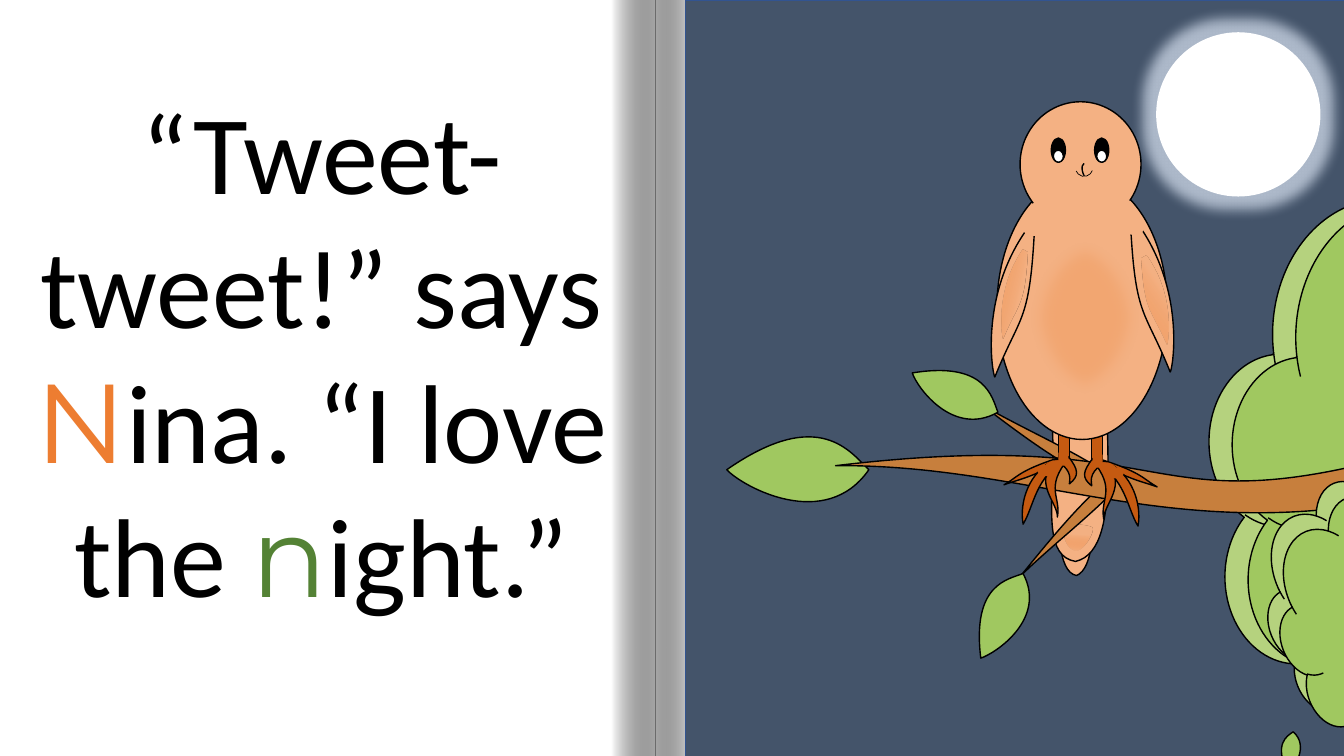
from math import cos, radians, sin

from lxml import etree
from pptx import Presentation
from pptx.dml.color import RGBColor
from pptx.enum.shapes import MSO_SHAPE
from pptx.enum.text import MSO_AUTO_SIZE, PP_ALIGN
from pptx.oxml.ns import qn
from pptx.util import Inches, Pt

BLACK = RGBColor(0, 0, 0)
WHITE = RGBColor(255, 255, 255)
NIGHT = RGBColor(0x44, 0x54, 0x6A)
SKY_EDGE = RGBColor(0x32, 0x54, 0x91)
GLOW = RGBColor(0xAD, 0xB9, 0xCA)
LEAF = RGBColor(0xA0, 0xC8, 0x60)
PALE_LEAF = RGBColor(0xB5, 0xD2, 0x7E)
WOOD = RGBColor(0xC7, 0x7F, 0x3D)
FEATHER = RGBColor(0xF4, 0xB1, 0x83)
ORANGE = RGBColor(0xED, 0x7D, 0x31)
CLAW = RGBColor(0xC5, 0x5A, 0x11)
GREEN = RGBColor(0x54, 0x82, 0x35)
RECTANGLE, CLOUD, ARC = MSO_SHAPE.RECTANGLE, MSO_SHAPE.CLOUD, MSO_SHAPE.ARC
OVAL, DISC = MSO_SHAPE.OVAL, MSO_SHAPE.FLOWCHART_CONNECTOR

SHADE = [(0, WHITE, 100), (1, BLACK, 34)]
PLUMAGE = [(0.38, FEATHER, 100), (1, ORANGE, 0)]

LOWEST_LEAF = ((12.6, 7.37, 0.41, 0.19), 283.6, [
    (12.78, 7.67), (12.63, 7.38, 12.77, 7.3, 12.83, 7.26), (12.99, 7.4, 12.84, 7.62, 12.78, 7.67)])
TAIL_BACK = ((10.13, 3.03, 0.69, 2.69), 357, [
    (10.05, 3.05), (10.76, 3.18), (10.73, 4.03, 11.02, 5.57, 10.68, 5.71), (10.29, 5.63, 10.74, 3.91, 10.05, 3.05)])
TAIL_FRONT = ((9.92, 3.04, 1.07, 2.53), 0, [
    (9.92, 3.04), (11, 3.2), (10.89, 3.99, 11.2, 5.45, 10.67, 5.57), (10.08, 5.47, 10.91, 3.88, 9.92, 3.04)])
TAIL_TIP = ((10.54, 5.21, 0.28, 0.25), 4.1, [
    (10.55, 5.22), (10.58, 5.19, 10.81, 5.21, 10.83, 5.24),
    (10.85, 5.28, 10.75, 5.46, 10.67, 5.46), (10.6, 5.45, 10.54, 5.35, 10.55, 5.22)])
BRANCH_PARTS = [
    (WOOD, ((9.62, 4.32, 1.39, 0.13), 28.6, [
        (9.73, 4.01), (10.08, 4.22, 10.69, 4.49, 10.95, 4.68),
        (10.94, 4.69, 10.87, 4.73, 10.87, 4.74), (10.55, 4.65, 9.92, 4.15, 9.73, 4.01)])),
    (WOOD, ((9.91, 5.14, 1.39, 0.13), 317.1, [
        (10.12, 5.72), (10.41, 5.43, 10.94, 5.02, 11.14, 4.77),
        (11.13, 4.76, 11.06, 4.75, 11.05, 4.73), (10.76, 4.91, 10.27, 5.54, 10.12, 5.72)])),
    (LEAF, ((7.22, 4.32, 1.4, 0.65), 7.4, [
        (7.21, 4.66), (8.13, 4.02, 8.44, 4.49, 8.62, 4.66), (8.19, 5.28, 7.37, 4.83, 7.21, 4.66)])),
    (WOOD, ((8.34, 4.09, 6.93, 1.18), 351.3, [
        (8.29, 4.62), (12.23, 4.15, 11.08, 5.54, 15.22, 4.09),
        (15.21, 4.25, 15.16, 4.4, 15.2, 4.56), (12.1, 5.72, 10.59, 4.6, 8.29, 4.62)])),
    (LEAF, ((9.47, 5.89, 0.92, 0.43), 304.3, [
        (9.73, 6.53), (9.64, 5.79, 10, 5.75, 10.15, 5.69), (10.39, 6.14, 9.88, 6.48, 9.73, 6.53)])),
    (LEAF, ((9.02, 3.67, 0.92, 0.43), 32.6, [
        (9.05, 3.7), (9.78, 3.58, 9.84, 3.94, 9.9, 4.09), (9.46, 4.34, 9.1, 3.85, 9.05, 3.7)])),
]
TOES = [
    ((10.81, 4.54, 0.29, 0.57), 332.3, [
        (10.96, 4.58), (10.84, 4.57), (11.08, 4.86, 10.91, 4.95, 10.95, 5.15), (10.94, 5.01, 11.21, 4.8, 10.96, 4.58)]),
    ((11.07, 4.39, 0.23, 0.6), 273.9, [
        (10.93, 4.56), (10.89, 4.6), (11.31, 4.79, 11.28, 4.76, 11.48, 4.83), (11.35, 4.76, 11.34, 4.69, 10.93, 4.56)]),
    ((10.75, 4.58, 0.17, 0.21), 40.7, [
        (10.84, 4.55), (10.89, 4.64), (10.79, 4.73, 10.84, 4.82, 10.83, 4.82), (10.73, 4.74, 10.74, 4.68, 10.84, 4.55)]),
    ((10.85, 4.54, 0.45, 0.67), 294.3, [
        (10.97, 4.58), (10.85, 4.57), (11.17, 4.74, 11.18, 5.04, 11.29, 5.22), (11.33, 5, 11.23, 4.69, 10.97, 4.58)]),
]
KNUCKLES = [(RECTANGLE, (10.84, 4.51, 0.1, 0.13), 0), (OVAL, (10.95, 4.57, 0.07, 0.15), 306.1),
            (OVAL, (11.01, 4.6, 0.11, 0.18), 259.8), (OVAL, (10.95, 4.56, 0.11, 0.18), 299.4)]
WING = ((11.31, 2.24, 0.33, 1.44), 337.3, [
    (11.22, 2.29), (11.31, 2.25), (11.77, 2.92, 11.63, 3.68, 11.61, 3.69), (11.36, 3.07, 11.27, 3.16, 11.22, 2.29)])
WING_PLUMAGE = ((11.38, 2.54, 0.2, 0.88), 337.3, [
    (11.33, 2.57), (11.38, 2.54), (11.66, 2.95, 11.58, 3.42, 11.57, 3.42), (11.41, 3.04, 11.36, 3.1, 11.33, 2.57)])


def set_alpha(color_element, percent):
    etree.SubElement(color_element, qn("a:alpha")).set("val", str(int(percent * 1000)))


def paint(shape, fill=None, line=None, width=1, angle=0, alpha=None):
    shape.shadow.inherit = False
    if fill is None:
        shape.fill.background()
    elif isinstance(fill, list):
        shape.fill.gradient()
        shape.fill.gradient_angle = angle
        for stop, (position, color, _) in zip(shape.fill.gradient_stops, fill):
            stop.position = position
            stop.color.rgb = color
        for element, (_, _, opacity) in zip(shape.element.spPr.xpath("./a:gradFill//a:srgbClr"), fill):
            set_alpha(element, opacity)
    else:
        shape.fill.solid()
        shape.fill.fore_color.rgb = fill
        if alpha is not None:
            set_alpha(shape.element.spPr.xpath("./a:solidFill/a:srgbClr")[0], alpha)
    if line is None:
        shape.line.fill.background()
    else:
        shape.line.color.rgb = line
        shape.line.width = Pt(width)
    return shape


def add_preset(shapes, kind, box, fill=None, line=None, rotation=0, **style):
    shape = shapes.add_shape(kind, *map(Inches, box))
    shape.rotation = rotation
    return paint(shape, fill, line, **style)


def to_frame(x, y, box, rotation):
    left, top, width, height = box
    across, down = x - left - width / 2, y - top - height / 2
    turn = radians(-rotation)
    return (Inches(across * cos(turn) - down * sin(turn) + width / 2),
            Inches(across * sin(turn) + down * cos(turn) + height / 2))


def add_outline(shapes, outline, fill, line=BLACK, **style):
    box, rotation, path = outline
    corners = [(Inches(segment[-2]), Inches(segment[-1])) for segment in path]
    builder = shapes.build_freeform(*corners[0], scale=1.0)
    builder.add_line_segments(corners[1:], close=True)
    shape = builder.convert_to_shape()
    for key, value in zip(("left", "top", "width", "height"), box):
        setattr(shape, key, Inches(value))
    shape.rotation = rotation
    drawing = shape.element.spPr.xpath(".//a:path")[0]
    drawing.set("w", str(shape.width))
    drawing.set("h", str(shape.height))
    for command in list(drawing):
        drawing.remove(command)
    for index, segment in enumerate(path):
        name = "a:moveTo" if index == 0 else "a:lnTo" if len(segment) == 2 else "a:cubicBezTo"
        command = etree.SubElement(drawing, qn(name))
        for x, y in zip(segment[::2], segment[1::2]):
            across, down = to_frame(x, y, box, rotation)
            point = etree.SubElement(command, qn("a:pt"))
            point.set("x", str(across))
            point.set("y", str(down))
    etree.SubElement(drawing, qn("a:close"))
    return paint(shape, fill, line, **style)


def add_effect(shape, name, radius, color=None):
    effects = shape.element.spPr.find(qn("a:effectLst"))
    effect = etree.SubElement(effects, qn(name))
    effect.set("rad", str(Inches(radius)))
    if color is not None:
        etree.SubElement(effect, qn("a:srgbClr")).set("val", str(color))


def mirror_box(box, center, drop):
    left, top, width, height = box
    return 2 * center - left - width, top + drop, width, height


def mirror_outline(outline, center, drop):
    box, rotation, path = outline
    mirrored = [tuple(value + drop if index % 2 else 2 * center - value
                      for index, value in enumerate(segment)) for segment in path]
    return mirror_box(box, center, drop), 360 - rotation, mirrored


def add_story(shapes):
    box = shapes.add_textbox(Inches(-0.06), Inches(0.77), Inches(6.5), Inches(5.49))
    frame = box.text_frame
    frame.word_wrap = True
    frame.auto_size = MSO_AUTO_SIZE.SHAPE_TO_FIT_TEXT
    paragraph = frame.paragraphs[0]
    paragraph.alignment = PP_ALIGN.CENTER
    for text, name, color in [("“Tweet-tweet!” says ", "Calibri", BLACK), ("N", "Montserrat", ORANGE),
                              ("ina. “I love the ", "Calibri", BLACK), ("n", "Montserrat", GREEN),
                              ("ight.”", "Calibri", BLACK)]:
        run = paragraph.add_run()
        run.text = text
        for key, value in {"size": Pt(80), "name": name}.items():
            setattr(run.font, key, value)
        run.font.color.rgb = color


def add_book(shapes):
    add_preset(shapes, RECTANGLE, (-0.01, 0, 13.47, 7.5), WHITE)
    for left, angle in [(6.5, 180), (6.07, 0)]:
        add_preset(shapes, RECTANGLE, (left, 0, 0.43, 7.5), SHADE, angle=angle)


def add_tail(shapes):
    for outline in (TAIL_BACK, TAIL_FRONT):
        add_outline(shapes, outline, FEATHER)
    add_outline(shapes, TAIL_TIP, PLUMAGE, None, angle=270)


def add_legs(shapes):
    for mirrored in (False, True):
        place_box = (lambda box: mirror_box(box, 10.72, -0.02)) if mirrored else tuple
        place_outline = (lambda outline: mirror_outline(outline, 10.72, -0.02)) if mirrored else tuple
        add_preset(shapes, RECTANGLE, place_box((10.83, 3.62, 0.11, 1)), CLAW, BLACK)
        for toe in TOES:
            add_outline(shapes, place_outline(toe), CLAW)
        for kind, box, rotation in KNUCKLES:
            add_preset(shapes, kind, place_box(box), CLAW, rotation=-rotation if mirrored else rotation)


def add_bird(shapes):
    add_legs(shapes)
    for box in [(9.89, 1.75, 1.69, 2.61), (10.12, 1.01, 1.2, 1.24)]:
        add_preset(shapes, DISC, box, FEATHER, BLACK)
    for left in (10.43, 10.86):
        add_preset(shapes, DISC, (left, 1.37, 0.14, 0.24), BLACK, BLACK)
        add_preset(shapes, DISC, (left + 0.02, 1.49, 0.1, 0.12), WHITE, BLACK, 356.7)
    smile = add_preset(shapes, ARC, (10.67, 1.58, 0.17, 0.17), FEATHER, BLACK, 133.4, width=0.5)
    for index, value in enumerate((147.13, 15.19)):
        smile.adjustments[index] = value
    add_preset(shapes, DISC, (10.19, 2.01, 1.08, 0.27), FEATHER)
    belly = add_preset(shapes, DISC, (9.95, 2.57, 1.62, 1.16), ORANGE, rotation=90, alpha=20)
    add_effect(belly, "a:softEdge", 0.14)
    for wing, shoulder, rotation in [(WING, (11.18, 2.21, 0.18, 0.12), 341.8),
                                     (mirror_outline(WING, 10.74, 0.05), (10.14, 2.22, 0.18, 0.12), 18.2)]:
        add_outline(shapes, wing, FEATHER)
        add_preset(shapes, DISC, shoulder, FEATHER, rotation=rotation)
    for plumage in (WING_PLUMAGE, mirror_outline(WING_PLUMAGE, 10.76, -0.06)):
        add_outline(shapes, plumage, PLUMAGE, None, angle=190)
    for left, top in [(11.04, 1.97), (10.23, 1.98)]:
        add_preset(shapes, DISC, (left, top, 0.18, 0.12), FEATHER, rotation=341.8)
    beak = add_preset(shapes, ARC, (10.75, 1.61, 0.11, 0.22), None, BLACK, 333.2)
    beak.element.spPr.find(qn("a:xfrm")).set("flipH", "1")


def main():
    presentation = Presentation()
    presentation.slide_width, presentation.slide_height = Inches(40 / 3), Inches(7.5)
    slide = presentation.slides.add_slide(presentation.slide_layouts[6])
    slide.background.fill.solid()
    slide.background.fill.fore_color.rgb = BLACK
    shapes = slide.shapes
    add_book(shapes.add_group_shape().shapes)
    add_story(shapes)
    add_preset(shapes, RECTANGLE, (6.8, 0, 6.66, 7.75), NIGHT, SKY_EDGE)
    for left, top, color in [(12, 1.4, PALE_LEAF), (12.23, 1.43, LEAF)]:
        add_preset(shapes, CLOUD, (left, top, 7.04, 6.31), color, BLACK)
    add_outline(shapes, LOWEST_LEAF, LEAF)
    add_tail(shapes.add_group_shape().shapes)
    branch = shapes.add_group_shape().shapes
    for color, outline in BRANCH_PARTS:
        add_outline(branch, outline, color)
    for left, top, color in [(12.55, 4.56, PALE_LEAF), (12.67, 4.71, LEAF)]:
        add_preset(shapes, CLOUD, (left, top, 2.61, 2.66), color, BLACK, 338.5)
    moon = add_preset(shapes, DISC, (11.47, 0.32, 1.63, 1.63), WHITE)
    add_effect(moon, "a:glow", 0.25, GLOW)
    add_bird(shapes.add_group_shape().shapes)
    presentation.save("out.pptx")


if __name__ == "__main__":
    main()
